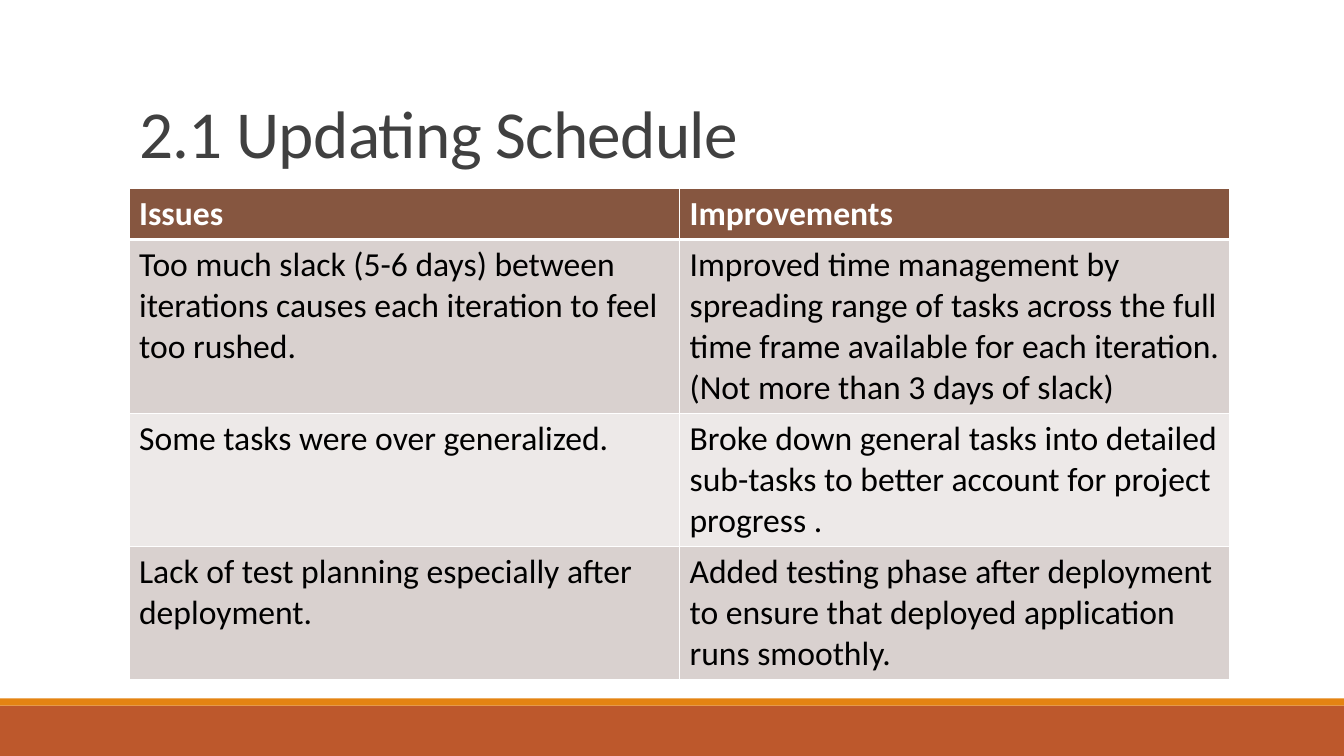
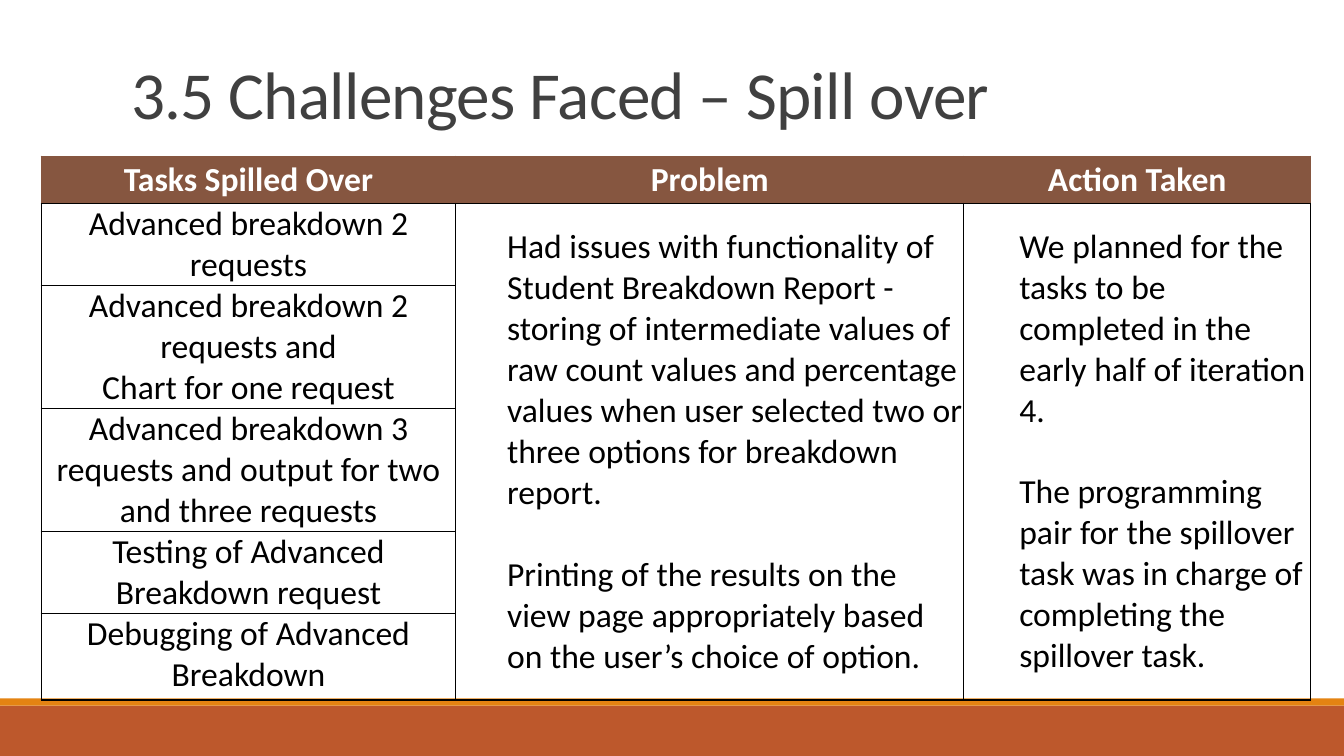
import dataclasses

import lxml.etree
import pptx
import pptx.dml.color
import pptx.enum.shapes
import pptx.enum.text
import pptx.oxml.ns
import pptx.util

Inches = pptx.util.Inches
Pt = pptx.util.Pt
Align = pptx.enum.text.PP_ALIGN
Anchor = pptx.enum.text.MSO_ANCHOR
qn = pptx.oxml.ns.qn


@dataclasses.dataclass(frozen=True)
class Theme:
    font: str = "Calibri"
    title_size: int = 48
    table_size: int = 24
    paragraph_gap: int = 29
    title: str = "404040"
    text: str = "000000"
    white: str = "FFFFFF"
    header: str = "865640"
    stripes: tuple = ("D9D1CF", "EDE9E8")
    footer: str = "BD582C"
    accent: str = "E48312"
    rule: str = "808080"


@dataclasses.dataclass(frozen=True)
class CellStyle:
    """Look of one cell; margins are (side, top, bottom) and edges map L, R, T, B to (colour, points)."""
    edges: dict
    fill: str | None = None
    color: str = "000000"
    bold: bool = False
    align: object = Align.LEFT
    anchor: object = Anchor.TOP
    margins: tuple = (0.1, 0.05, 0.05)
    indent: float = 0


THEME = Theme()
SLIDE_WIDTH, SLIDE_HEIGHT = 13.33, 7.5


def rgb(value):
    return pptx.dml.color.RGBColor.from_string(value)


def inches(box):
    return [Inches(length) for length in box]


def edges(color, width=1, **changes):
    return {**dict.fromkeys("LRTB", (color, width)), **changes}


def format_runs(para, size, color, bold=False):
    for span in para.runs:
        span.font.name = THEME.font
        span.font.size = Pt(size)
        span.font.bold = bold
        span.font.color.rgb = rgb(color)


def add_band(page, box, color):
    band = page.shapes.add_shape(pptx.enum.shapes.MSO_SHAPE.RECTANGLE, *inches(box))
    band.shadow.inherit = False
    band.fill.solid()
    band.fill.fore_color.rgb = rgb(color)
    band.line.fill.background()
    return band


def add_rule(page, left, right, top):
    rule = page.shapes.add_connector(
        pptx.enum.shapes.MSO_CONNECTOR.STRAIGHT, *inches((left, top, right, top)))
    rule.line.color.rgb = rgb(THEME.rule)
    rule.line.width = Pt(0.5)
    lxml.etree.SubElement(rule.element.spPr, qn("a:effectLst"))
    return rule


def decorate_layout(page):
    """Draw the bands and title rule, then move them behind the layout of the page."""
    parts = [
        add_band(page, (0, 7, SLIDE_WIDTH, 0.5), THEME.footer),
        add_band(page, (0, 6.93, SLIDE_WIDTH, 0.07), THEME.accent),
        add_rule(page, 1.31, 12.21, 1.9),
    ]
    tree = page.slide_layout.shapes.element
    for position, part in enumerate(parts, start=2):
        tree.insert(position, part.element)


def place_title(page, text, box):
    title = page.shapes.title
    title.left, title.top, title.width, title.height = inches(box)
    frame = title.text_frame
    frame.text = text
    frame.word_wrap = True
    frame.auto_size = pptx.enum.text.MSO_AUTO_SIZE.NONE
    frame.vertical_anchor = Anchor.BOTTOM
    para = frame.paragraphs[0]
    para.alignment = Align.LEFT
    para.line_spacing = 0.85
    format_runs(para, THEME.title_size, THEME.title)
    for span in para.runs:
        span.font.element.set("spc", "-50") if hasattr(span.font, "element") \
            else span._r.get_or_add_rPr().set("spc", "-50")


def draw_edges(cell, cell_edges):
    properties = cell._tc.get_or_add_tcPr()
    for side, (color, width) in cell_edges.items():
        line = lxml.etree.SubElement(properties, qn("a:ln" + side), w=str(Pt(width)))
        fill = lxml.etree.SubElement(line, qn("a:solidFill"))
        lxml.etree.SubElement(fill, qn("a:srgbClr"), val=color)


def style_cell(cell, style):
    draw_edges(cell, style.edges)
    if style.fill:
        cell.fill.solid()
        cell.fill.fore_color.rgb = rgb(style.fill)
    else:
        cell.fill.background()
    side, top, bottom = style.margins
    cell.margin_left = cell.margin_right = Inches(side)
    cell.margin_top, cell.margin_bottom = Inches(top), Inches(bottom)
    cell.vertical_anchor = style.anchor
    for number, para in enumerate(cell.text_frame.paragraphs):
        para.alignment = style.align
        if style.indent:
            properties = para._p.get_or_add_pPr()
            properties.set("marL", str(Inches(style.indent)))
            properties.set("indent", "0")
        if number:
            para.space_before = Pt(THEME.paragraph_gap)
        format_runs(para, THEME.table_size, style.color, style.bold)


def add_grid(page, left, top, widths, heights, rows, style_at):
    """Add a table; style_at(row, column) gives each cell style, and None marks a spanned cell."""
    box = inches((left, top, sum(widths), sum(heights)))
    table = page.shapes.add_table(len(heights), len(widths), *box).table
    table.first_row = table.horz_banding = False
    for column, width in zip(table.columns, widths):
        column.width = Inches(width)
    for row, height in zip(table.rows, heights):
        row.height = Inches(height)
    for row, texts in enumerate(rows):
        for column, text in enumerate(texts):
            cell = table.cell(row, column)
            if text is not None:
                cell.text_frame.text = text
            style_cell(cell, style_at(row, column))
    return table


def schedule_slide(page):
    place_title(page, "2.1 Updating Schedule", (1.28, 0.84, 11, 0.92))
    rows = [
        ("Issues", "Improvements"),
        ("Too much slack (5-6 days) between iterations causes each iteration to feel too rushed.",
         "Improved time management by spreading range of tasks across the full time frame "
         "available for each iteration. (Not more than 3 days of slack)"),
        ("Some tasks were over generalized.",
         "Broke down general tasks into detailed sub-tasks to better account for project progress ."),
        ("Lack of test planning especially after deployment.",
         "Added testing phase after deployment to ensure that deployed application runs smoothly."),
    ]
    thick = (THEME.white, 3)
    header = CellStyle(edges(THEME.white, B=thick), THEME.header, THEME.white, bold=True)

    def style_at(row, column):
        if row == 0:
            return header
        lines = edges(THEME.white, T=thick) if row == 1 else edges(THEME.white)
        return CellStyle(lines, THEME.stripes[(row - 1) % 2], THEME.text)

    add_grid(page, 1.28, 1.87, (5.46, 5.46), (0.5, 1.72, 1.32, 1.32), rows, style_at)


def challenges_slide(page):
    place_title(page, "3.5 Challenges Faced – Spill over", (1.2, 0.11, 11, 1.26))
    problem = (
        "Had issues with functionality of Student Breakdown Report - storing of intermediate "
        "values of raw count values and percentage values when user selected two or three "
        "options for breakdown report.\n"
        "Printing of the results on the view page appropriately based on the user’s choice of option.")
    action = (
        "We planned for the tasks to be completed in the early half of iteration 4.\n"
        "The programming pair for the spillover task was in charge of completing the spillover task.")
    rows = [
        ("Tasks Spilled Over", "Problem", "Action Taken"),
        ("Advanced breakdown 2 requests", problem, action),
        ("Advanced breakdown 2 requests and\vChart for one request", None, None),
        ("Advanced breakdown 3 requests and output for two and three requests", None, None),
        ("Testing of Advanced Breakdown request", None, None),
        ("Debugging of Advanced Breakdown", None, None),
    ]
    black = edges(THEME.text)
    header = CellStyle(edges(THEME.header, B=(THEME.text, 1)), THEME.header, THEME.white, True,
                       Align.CENTER, Anchor.MIDDLE, (0.05, 0.03, 0.03))
    body = (
        CellStyle(black, align=Align.CENTER, margins=(0.02, 0, 0)),
        CellStyle(black, anchor=Anchor.MIDDLE, margins=(0.01, 0.01, 0), indent=0.5),
        CellStyle(black, anchor=Anchor.MIDDLE, margins=(0.05, 0.03, 0.03), indent=0.5),
    )
    table = add_grid(page, 0.41, 1.55, (4.11, 5.04, 3.44), (0.46, 0.81, 1.22, 1.22, 0.81, 0.86),
                     rows, lambda row, column: body[column] if row else header)
    for column in (1, 2):
        table.cell(1, column).merge(table.cell(len(rows) - 1, column))


def main():
    deck = pptx.Presentation()
    deck.slide_width, deck.slide_height = inches((SLIDE_WIDTH, SLIDE_HEIGHT))
    title_only = deck.slide_layouts.get_by_name("Title Only")
    pages = [deck.slides.add_slide(title_only) for _ in range(2)]
    decorate_layout(pages[0])
    schedule_slide(pages[0])
    challenges_slide(pages[1])
    deck.save("out.pptx")


if __name__ == "__main__":
    main()
